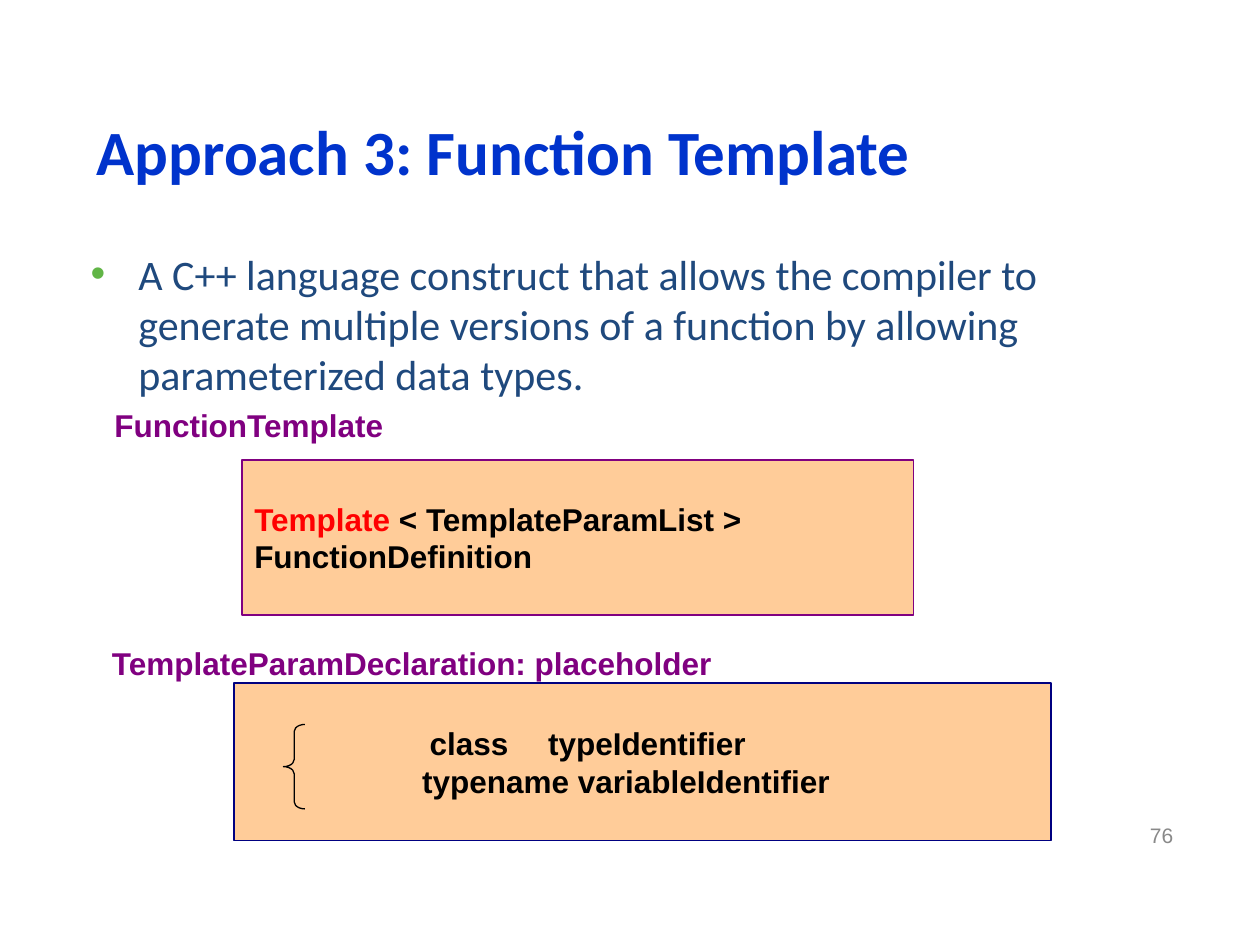
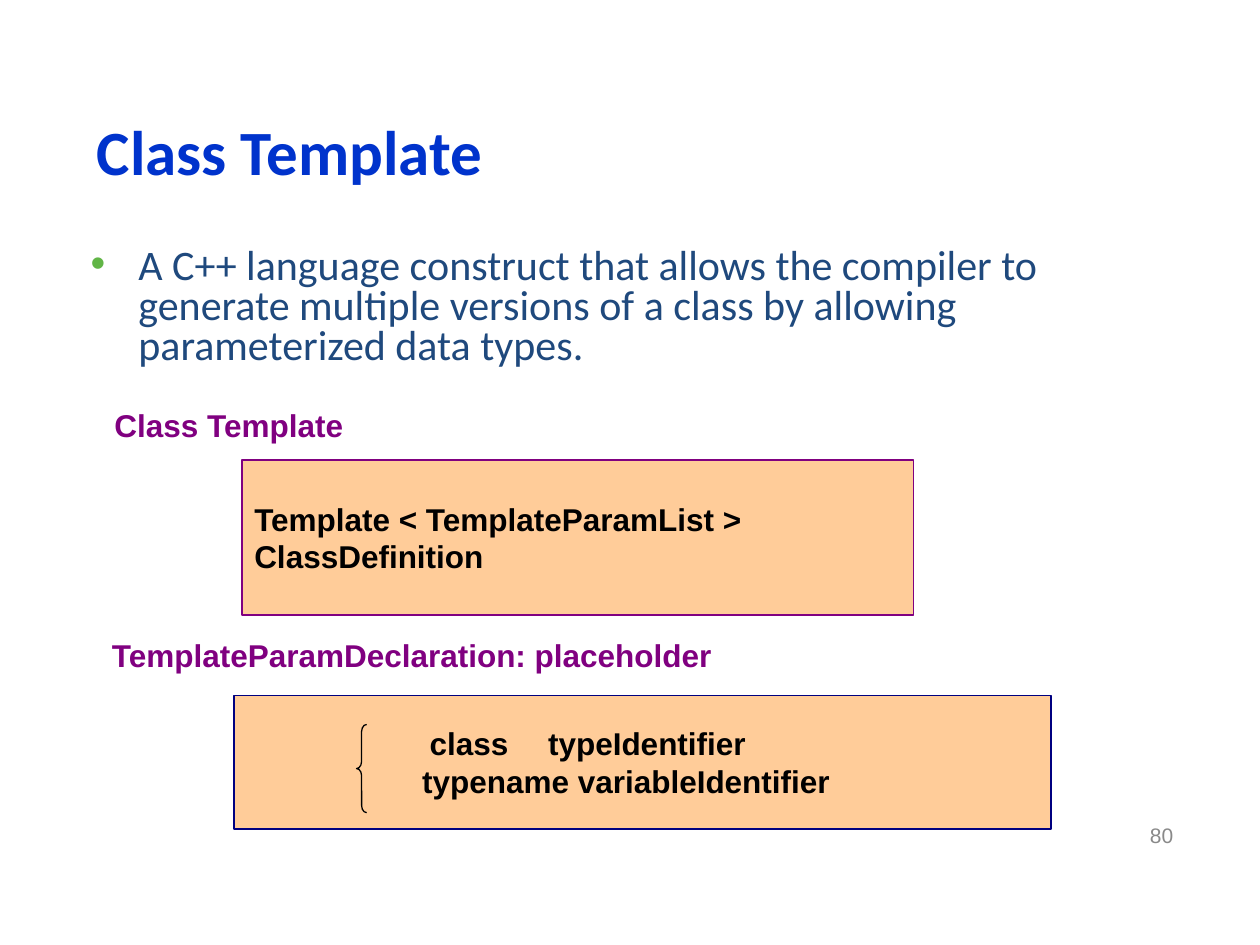
from dataclasses import dataclass

from lxml import etree
from pptx import Presentation
from pptx import util as u
from pptx.dml.color import RGBColor
from pptx.enum import shapes, text
from pptx.oxml.ns import qn

# Content: tops and heights in inches, brace as left, width, height, curve
PAGES = [
    dict(
        title="Approach 3: Function Template", number="76", spacing=None,
        body="A C++ language construct that allows the compiler to generate "
             "multiple versions of a function by allowing parameterized data types.",
        label="FunctionTemplate", label_size=0.5,
        syntax=[[("Template", "key"), (" < TemplateParamList >", "ink")],
                [("FunctionDefinition", "ink")]],
        note_top=5.06, note_size=0.5, box=(5.42, 1.25),
        brace=(2.25, 0.17, 0.67, 0.33)),
    dict(
        title="Class Template", number="80", spacing=0.8,
        body="A C++ language construct that allows the compiler to generate "
             "multiple versions of a class by allowing parameterized data types.",
        label="Class Template", label_size=0.44,
        syntax=[[("Template < TemplateParamList >", "ink")],
                [("ClassDefinition", "ink")]],
        note_top=5.0, note_size=0.43, box=(5.52, 1.06),
        brace=(2.83, 0.08, 0.7, 0.7)),
]
NOTE = "TemplateParamDeclaration: placeholder"
CHOICES = [[("class\ttypeIdentifier", "ink")],
           [("typename variableIdentifier", "ink")]]


@dataclass(frozen=True)
class Theme:
    """Colours, fonts and type sizes shared by all slides."""
    title: str = "0033CC"
    body: str = "1F497D"
    bullet: str = "61B546"
    label: str = "800080"
    frame: str = "000080"
    fill: str = "FFCC99"
    key: str = "FF0000"
    ink: str = "000000"
    page: str = "898989"
    head_font: str = "Calibri"
    code_font: str = "Arial"
    head_size: int = 36
    body_size: int = 24
    code_size: int = 18
    page_size: int = 12


LOOK = Theme()
MIDDLE = text.MSO_ANCHOR.MIDDLE


def tint(name):
    """Return the theme colour of that name."""
    return RGBColor.from_string(getattr(LOOK, name))


def write(shape, lines, font, size, bold=False, anchor=text.MSO_ANCHOR.TOP):
    """Fill a shape with lines of (words, colour name) runs."""
    frame = shape.text_frame
    frame.word_wrap = True
    frame.vertical_anchor = anchor
    for i, line in enumerate(lines):
        para = frame.paragraphs[0] if i == 0 else frame.add_paragraph()
        para.alignment = text.PP_ALIGN.LEFT
        para.font.name = font
        para.font.size = u.Pt(size)
        para.font.bold = bold
        for words, color in line:
            run = para.add_run()
            run.text = words
            run.font.color.rgb = tint(color)
    return frame


def place(slide, spot):
    """Add a text box at left, top, width, height."""
    return slide.shapes.add_textbox(*map(u.Inches, spot))


def draw(slide, kind, spot, line, width):
    """Add a preset shape with a plain outline and no shadow."""
    shape = slide.shapes.add_shape(kind, *map(u.Inches, spot))
    shape.shadow.inherit = False
    shape.line.color.rgb = tint(line)
    shape.line.width = u.Pt(width)
    return shape


def panel(slide, spot, line, lines):
    """Add a filled code box and return its text frame."""
    box = draw(slide, shapes.MSO_SHAPE.RECTANGLE, spot, line, 1)
    box.fill.solid()
    box.fill.fore_color.rgb = tint("fill")
    return write(box, lines, LOOK.code_font, LOOK.code_size, True, MIDDLE)


def label(slide, spot, words):
    """Add a bold heading above a code box."""
    write(place(slide, spot), [[(words, "label")]],
          LOOK.code_font, LOOK.code_size, True)


def dot(para):
    """Give a paragraph a hanging, coloured bullet."""
    props = para._p.get_or_add_pPr()
    props.set("marL", str(u.Inches(0.38)))
    props.set("indent", str(-u.Inches(0.38)))
    color = etree.SubElement(props, qn("a:buClr"))
    etree.SubElement(color, qn("a:srgbClr"), val=LOOK.bullet)
    etree.SubElement(props, qn("a:buFont"), typeface="Arial")
    etree.SubElement(props, qn("a:buChar"), char="•")
    # Bullet settings come before the default run settings
    fonts = props.find(qn("a:defRPr"))
    if fonts is not None:
        props.append(fonts)


def align(frame):
    """Indent the choices and set the tab between their two words."""
    frame.margin_left = u.Inches(1.49)
    props = frame.paragraphs[0]._p.get_or_add_pPr()
    props.set("marL", "0")
    props.set("indent", str(u.Inches(0.06)))
    tabs = etree.Element(qn("a:tabLst"))
    etree.SubElement(tabs, qn("a:tab"), pos=str(u.Inches(1.06)), algn="l")
    props.find(qn("a:defRPr")).addprevious(tabs)


def base(slide, page):
    """Add the page number, title and bulleted body."""
    frame = write(place(slide, (7.08, 6.43, 2.33, 0.4)),
                  [[(page["number"], "page")]],
                  LOOK.code_font, LOOK.page_size, anchor=MIDDLE)
    frame.paragraphs[0].alignment = text.PP_ALIGN.RIGHT
    write(place(slide, (0.67, 0.75, 8.67, 0.88)), [[(page["title"], "title")]],
          LOOK.head_font, LOOK.head_size, True, MIDDLE)
    frame = write(place(slide, (0.62, 1.92, 8.75, 1.17)),
                  [[(page["body"], "body")]], LOOK.head_font, LOOK.body_size)
    para = frame.paragraphs[0]
    if page["spacing"]:
        para.line_spacing = page["spacing"]
    dot(para)


def build(deck, page):
    """Add one slide with its two code boxes."""
    slide = deck.slides.add_slide(deck.slide_layouts[6])
    base(slide, page)
    panel(slide, (1.92, 3.65, 5.33, 1.23), "label", page["syntax"])
    label(slide, (0.81, 3.17, 7.46, page["label_size"]), page["label"])
    label(slide, (0.79, page["note_top"], 6.85, page["note_size"]), NOTE)
    top, high = page["box"]
    align(panel(slide, (1.86, top, 6.48, high), "frame", CHOICES))
    left, wide, tall, curve = page["brace"]
    brace = draw(slide, shapes.MSO_SHAPE.LEFT_BRACE,
                 (left, 5.75, wide, tall), "ink", 0.75)
    brace.fill.background()
    brace.adjustments[0] = curve
    brace.adjustments[1] = 0.5


deck = Presentation()
deck.slide_width, deck.slide_height = u.Inches(10), u.Inches(7.5)
for page in PAGES:
    build(deck, page)
deck.save("out.pptx")
